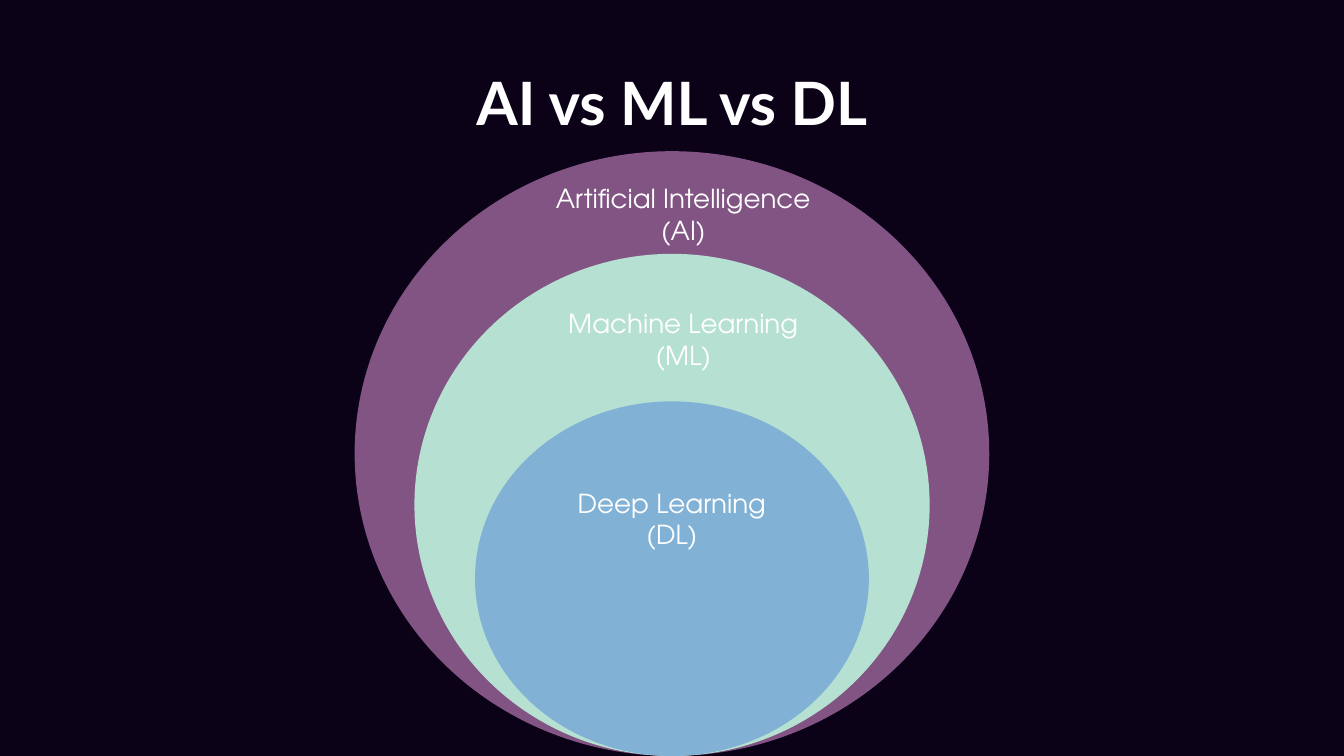
import pptx
import pptx.dml.color
import pptx.enum.shapes
import pptx.enum.text
import pptx.util
from dataclasses import dataclass

Pt = pptx.util.Pt


@dataclass(frozen=True)
class Theme:
    back: str = "0B0218"
    text: str = "FFFFFF"
    outer: str = "815483"
    middle: str = "B5E0D2"
    inner: str = "81B2D6"
    head_font: str = "Lato"
    body_font: str = "TeX Gyre Adventor"
    head_size: int = 32
    body_size: int = 14


def color(code):
    return pptx.dml.color.RGBColor.from_string(code)


class Deck:
    def __init__(self, theme, width, height):
        self.theme = theme
        self.width, self.height = width, height
        self.file = pptx.Presentation()
        self.file.slide_width, self.file.slide_height = Pt(width), Pt(height)
        self.slide = self.file.slides.add_slide(self.file.slide_layouts[6])
        fill = self.slide.background.fill
        fill.solid()
        fill.fore_color.rgb = color(theme.back)

    def text(self, lines, box, inset, font, size, bold=False):
        frame = self.slide.shapes.add_textbox(*map(Pt, box)).text_frame
        frame.word_wrap = True
        frame.margin_top = frame.margin_bottom = Pt(inset)
        frame.margin_left = frame.margin_right = Pt(7.2)
        frame.text = "\n".join(lines)
        for para in frame.paragraphs:
            para.alignment = pptx.enum.text.PP_ALIGN.CENTER
            para.font.name = font
            para.font.size = Pt(size)
            para.font.bold = bold
            para.font.color.rgb = color(self.theme.text)

    def title(self, words, box):
        self.text([words], box, 7.2, self.theme.head_font,
                  self.theme.head_size, True)

    def label(self, lines, left, top):
        self.text(lines, (left, top, 153.4, 41.2), 3.6,
                  self.theme.body_font, self.theme.body_size)

    def ring(self, width, height, fill):
        """Ellipse centred across the slide and resting on its lower edge."""
        shape = self.slide.shapes.add_shape(
            pptx.enum.shapes.MSO_SHAPE.OVAL,
            Pt((self.width - width) / 2), Pt(self.height - height),
            Pt(width), Pt(height))
        shape.shadow.inherit = False
        shape.fill.solid()
        shape.fill.fore_color.rgb = color(fill)
        shape.line.fill.background()


def main():
    theme = Theme()
    deck = Deck(theme, 720, 405)

    # Title
    deck.title("AI vs ML vs DL", (124, 28, 472, 46))

    # Nested fields, outermost first
    deck.ring(340, 324, theme.outer)
    deck.ring(276, 269, theme.middle)
    deck.ring(211, 190, theme.inner)

    # Field names
    deck.label(["Artificial Intelligence", "(AI)"], 289.4, 94.3)
    deck.label(["Machine Learning", "(ML)"], 289.4, 161.3)
    deck.label(["Deep Learning", "(DL)"], 283.3, 257.5)

    deck.file.save("out.pptx")


if __name__ == "__main__":
    main()
